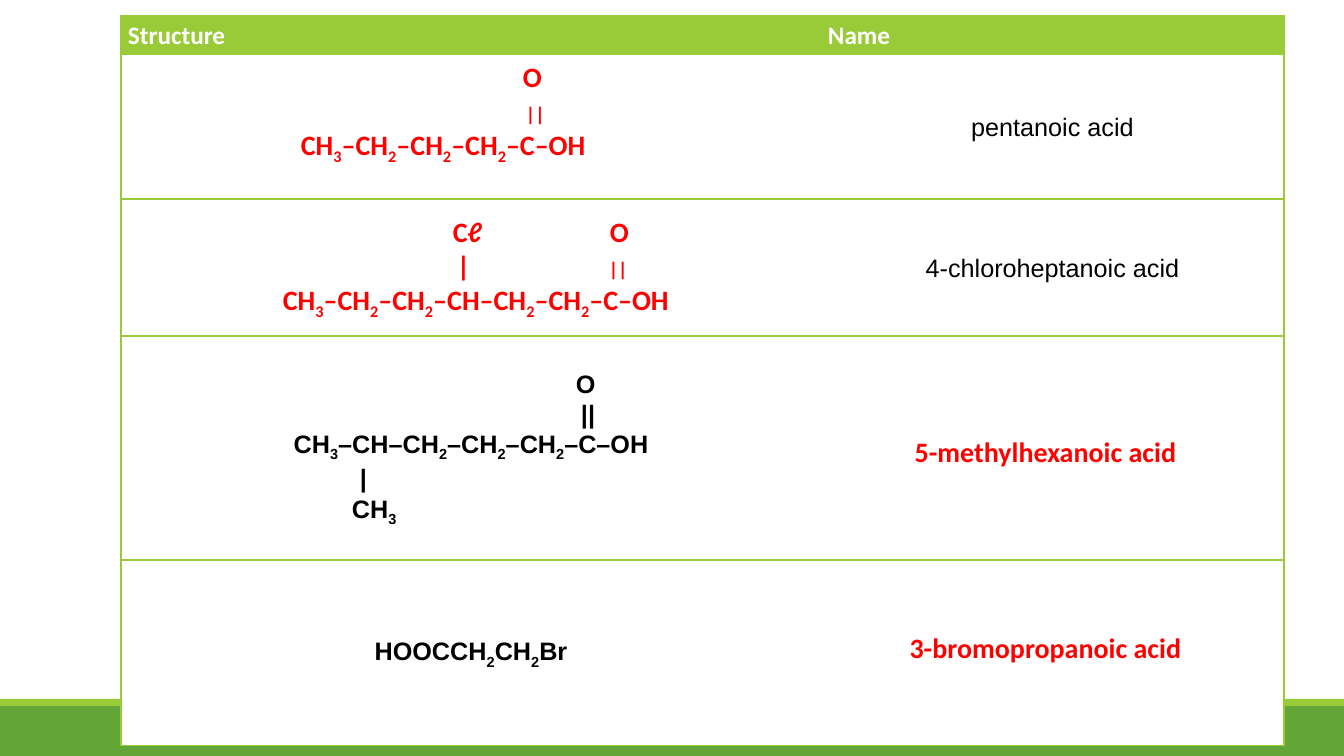
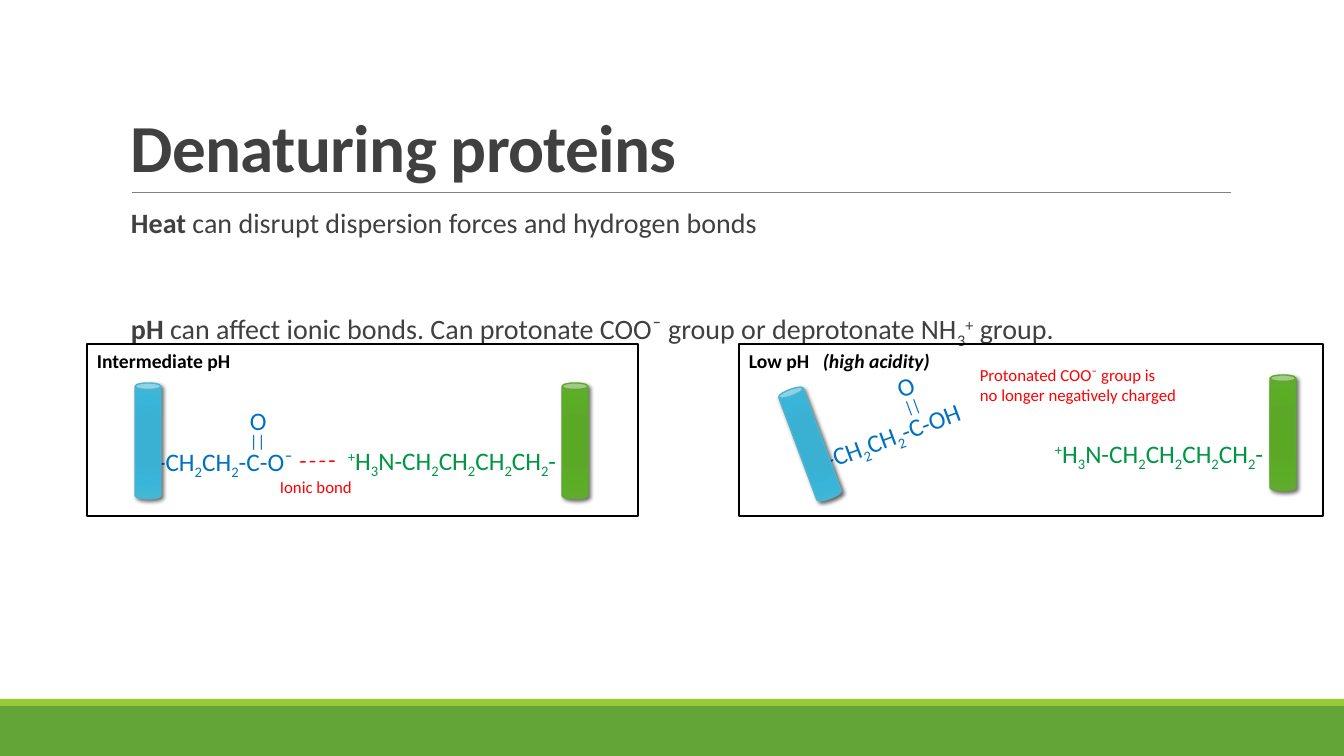
from pptx import Presentation
from pptx import util as u
from pptx.dml.color import RGBColor
from pptx.enum import dml, shapes, text
from pptx.oxml import parse_xml
from pptx.oxml.ns import nsdecls, qn
from lxml import etree

PX = 914400 / 100.8
GREEN, LIME, RED, BLUE, AMINE, DARK = "63A537", "99CB38", "FF0000", "0070C0", "009644", "404040"
CENTER = text.PP_ALIGN.CENTER


def rgb(hex_value):
    return RGBColor.from_string(hex_value)


def write(p, content, size=18, color="000000", font="Calibri", bold=False,
          italic=False, align=None, line=None, spc=None, tabs=()):
    if align is not None:
        p.alignment = align
    if line:
        p.line_spacing = line
    if tabs:
        tab_list = etree.SubElement(p._p.get_or_add_pPr(), qn("a:tabLst"))
        for stop in tabs:
            etree.SubElement(tab_list, qn("a:tab"), pos=str(round(stop * PX)), algn="l")
    for i, part in enumerate(content.split("_")):
        if not part:
            continue
        r = p.add_run()
        r.text = part
        r.font.size, r.font.name = u.Pt(size), font
        r.font.bold, r.font.italic = bold, italic
        r.font.color.rgb = rgb(color)
        if i % 2:
            r._r.get_or_add_rPr().set("baseline", "30000" if part == "+" else "-25000")
        if spc:
            r._r.get_or_add_rPr().set("spc", str(spc))


prs = Presentation()
prs.slide_width, prs.slide_height = round(1344 * PX), round(756 * PX)
acids, proteins = [prs.slides.add_slide(prs.slide_layouts[6]) for _ in range(2)]

for s in (acids, proteins):
    for y, h, color in ((706, 50, GREEN), (699, 7, LIME)):
        band = s.shapes.add_shape(shapes.MSO_SHAPE.RECTANGLE, 0, round(y * PX), prs.slide_width, round(h * PX))
        band.shadow.inherit = False
        band.fill.solid()
        band.fill.fore_color.rgb = rgb(color)
        band.line.fill.background()

row_heights = (38, 145, 137, 224, 186)
col_widths = (700, 463)
table = acids.shapes.add_table(
    len(row_heights), len(col_widths), round(121 * PX), round(16 * PX),
    round(sum(col_widths) * PX), round(sum(row_heights) * PX)).table
table.horz_banding = False
for col, width in zip(table.columns, col_widths):
    col.width = round(width * PX)
for i, (row, height) in enumerate(zip(table.rows, row_heights)):
    row.height = round(height * PX)
    for j, cell in enumerate(row.cells):
        cell.margin_left = cell.margin_right = round(7 * PX)
        cell.margin_top = cell.margin_bottom = 0
        cell.vertical_anchor = text.MSO_ANCHOR.MIDDLE
        for side in ("L", "R", "T", "B"):
            inner = side == "LR"[1 - j]
            paint = "<a:noFill/>" if inner else f'<a:solidFill><a:srgbClr val="{LIME}"/></a:solidFill>'
            cell._tc.get_or_add_tcPr().append(parse_xml(
                f'<a:ln{side} {nsdecls("a")} w="12700">{paint}</a:ln{side}>'))
        cell.fill.solid()
        cell.fill.fore_color.rgb = rgb(LIME if i == 0 else "FFFFFF")

for j, heading in enumerate(("Structure", "Name")):
    write(table.cell(0, j).text_frame.paragraphs[0], heading, color="FFFFFF", bold=True, line=1.07)
for i, name in ((1, "pentanoic acid"), (2, "4-chloroheptanoic acid")):
    write(table.cell(i, 1).text_frame.paragraphs[0], name, font="Arial", align=CENTER, line=1.07)
write(table.cell(4, 0).text_frame.paragraphs[0], "HOOCCH_2_CH_2_Br",
      font="Arial", bold=True, align=CENTER, line=1.07)

tf = table.cell(3, 0).text_frame
for i, (content, tabs) in enumerate((
        ("\tO", (448,)),
        ("\t||", (453,)),
        ("CH_3_–CH–CH_2_–CH_2_–CH_2_–C–OH", ()),
        ("\t|", (232,)),
        ("\tCH_3_", (224,)))):
    p = tf.add_paragraph() if i else tf.paragraphs[0]
    write(p, content, font="Arial", bold=True, line=1.07, tabs=tabs, align=None if tabs else CENTER)

structures = (
    (291, 55, (("\tO", "", (222,)),
               ("\t", "||", (225,)),
               ("CH_3_–CH_2_–CH_2_–CH_2_–C–OH", "", ()))),
    (273, 210, (("\tCℓ\tO", "", (170, 327)),
                ("\t|\t", "||", (174, 326)),
                ("CH_3_–CH_2_–CH_2_–CH–CH_2_–CH_2_–C–OH", "", ()))),
)
for x, y, lines in structures:
    tf = acids.shapes.add_textbox(*[round(n * PX) for n in (x, y, 615, 112)]).text_frame
    tf.word_wrap = True
    for i, (content, double_bond, tabs) in enumerate(lines):
        p = tf.add_paragraph() if i else tf.paragraphs[0]
        write(p, content, size=20, color=RED, bold=True, tabs=tabs)
        write(p, double_bond, size=14, color=RED, bold=True)

for y, name in ((430, "5-methylhexanoic acid"), (626, "3-bromopropanoic acid")):
    tf = acids.shapes.add_textbox(*[round(n * PX) for n in (878, y, 335, 44)]).text_frame
    tf.word_wrap = True
    write(tf.paragraphs[0], name, size=20, color=RED, bold=True, align=CENTER)

for x1, y1, x2, y2, color, width, dash in (
        (132, 192, 1231, 192, "808080", 0.5, None),
        (300, 462, 338, 461, RED, 1, dml.MSO_LINE.DASH)):
    line = proteins.shapes.add_connector(
        shapes.MSO_CONNECTOR.STRAIGHT, *[round(n * PX) for n in (x1, y1, x2, y2)])
    line.line.color.rgb = rgb(color)
    line.line.width = u.Pt(width)
    if dash:
        line.line.dash_style = dash
    etree.SubElement(line._element.spPr, qn("a:effectLst"))

tf = proteins.shapes.add_textbox(*[round(n * PX) for n in (121, 31, 1109, 160)]).text_frame
tf.word_wrap = True
tf.vertical_anchor = text.MSO_ANCHOR.BOTTOM
write(tf.paragraphs[0], "Denaturing proteins", size=48, color=DARK, bold=True, line=0.85, spc=-50)

tf = proteins.shapes.add_textbox(*[round(n * PX) for n in (131, 204, 1099, 444)]).text_frame
tf.word_wrap = True
tf.margin_left = tf.margin_right = 0
for i, (lead, rest) in enumerate((
        ("Heat", " can disrupt dispersion forces and hydrogen bonds"),
        ("pH", " can affect ionic bonds. Can protonate COO⁻ group or deprotonate NH_3__+_ group."))):
    p = tf.add_paragraph() if i else tf.paragraphs[0]
    p.space_before, p.space_after = u.Pt(50 * i), u.Pt(2)
    write(p, lead, size=20, color=DARK, bold=True, line=0.9)
    write(p, rest.replace("_3__+_", "_3_" + "_+_"), size=20, color=DARK)

TILT = -20.4
lysine = "_+_H_3_N-CH_2_CH_2_CH_2_CH_2_-"
labels = (
    (148, 441, 175, 40, 0, "-CH_2_CH_2_-C-O⁻", 18, BLUE),
    (240, 426, 46, 30, 0, "||", 12, BLUE),
    (240, 400, 37, 40, 0, "O", 18, BLUE),
    (338, 440, 242, 40, 0, lysine, 18, AMINE),
    (270, 472, 172, 30, 0, "Ionic bond", 12, RED),
    (970, 360, 220, 50, 0, "Protonated COO⁻ group is\nno longer negatively charged", 12, RED),
    (811, 413, 175, 40, TILT, "-CH_2_CH_2_-C-OH", 18, BLUE),
    (894, 389, 46, 30, TILT, "||", 12, BLUE),
    (887, 366, 37, 40, TILT, "O", 18, BLUE),
    (1045, 433, 242, 40, 0, lysine, 18, AMINE),
)
for x, y, w, h, angle, content, size, color in labels:
    sp = proteins.shapes.add_textbox(*[round(n * PX) for n in (x, y, w, h)])
    sp.rotation = angle
    tf = sp.text_frame
    tf.word_wrap = True
    for i, part in enumerate(content.split("\n")):
        write(tf.add_paragraph() if i else tf.paragraphs[0], part, size=size, color=color)

blue_can = ("4EB3CF", ("37B1D3", "3AB1D2", "38B5D8", "48B7D5"))
green_can = (GREEN, ("59A924", "5BA827", "5BAD25", "62AB31"))
for x, y, angle, (edge, shades) in (
        (135, 383, 0, blue_can), (562, 383, 0, green_can),
        (797, 386, TILT, blue_can), (1270, 375, 0, green_can)):
    can = proteins.shapes.add_shape(shapes.MSO_SHAPE.CAN, *[round(n * PX) for n in (x, y, 26, 116)])
    can.rotation = angle
    can.line.color.rgb = rgb(edge)
    can.line.width = u.Pt(1)
    can.fill.background()
    stops = "".join(f'<a:gs pos="{pos}000"><a:srgbClr val="{shade}"/></a:gs>'
                    for pos, shade in zip((0, 34, 70, 100), shades))
    spPr = can._element.spPr
    spPr.replace(spPr.find(qn("a:noFill")), parse_xml(
        f'<a:gradFill {nsdecls("a")} rotWithShape="1"><a:gsLst>{stops}</a:gsLst><a:path path="circle">'
        '<a:fillToRect l="100000" t="100000" r="100000" b="100000"/></a:path></a:gradFill>'))
    spPr.append(parse_xml(
        f'<a:effectLst {nsdecls("a")}><a:outerShdw blurRad="38100" dist="25400" dir="2700000">'
        '<a:srgbClr val="000000"><a:alpha val="60000"/></a:srgbClr></a:outerShdw></a:effectLst>'))

for x, w, heading, remark in ((87, 551, "Intermediate pH", ""), (739, 584, "Low pH\t", "(high acidity)")):
    panel = proteins.shapes.add_shape(
        shapes.MSO_SHAPE.RECTANGLE, *[round(n * PX) for n in (x, 344, w, 172)])
    panel.shadow.inherit = False
    panel.fill.background()
    panel.line.color.rgb = rgb("000000")
    panel.line.width = u.Pt(1.25)
    tf = panel.text_frame
    tf.vertical_anchor = text.MSO_ANCHOR.TOP
    p = tf.paragraphs[0]
    write(p, heading, size=14, bold=True, align=text.PP_ALIGN.LEFT, tabs=(74,) if remark else ())
    write(p, remark, size=14, bold=True, italic=True)

prs.save("out.pptx")
